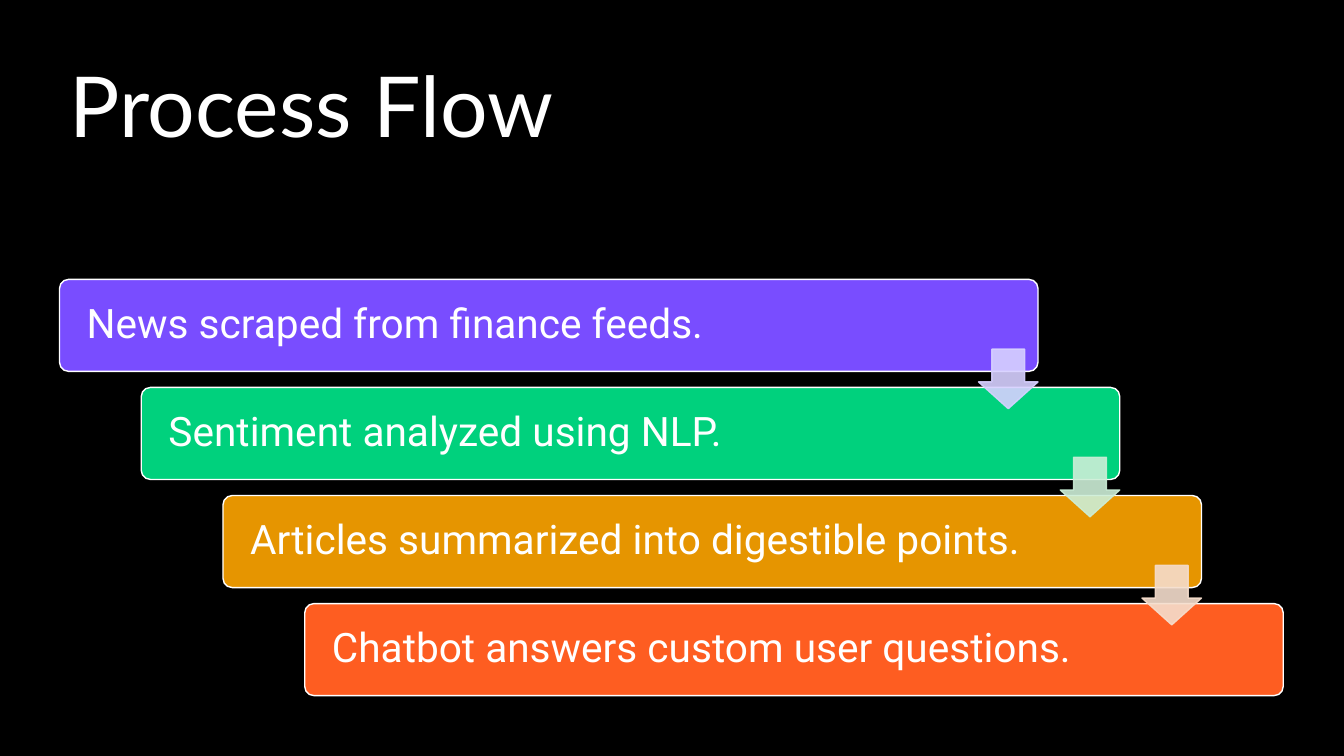
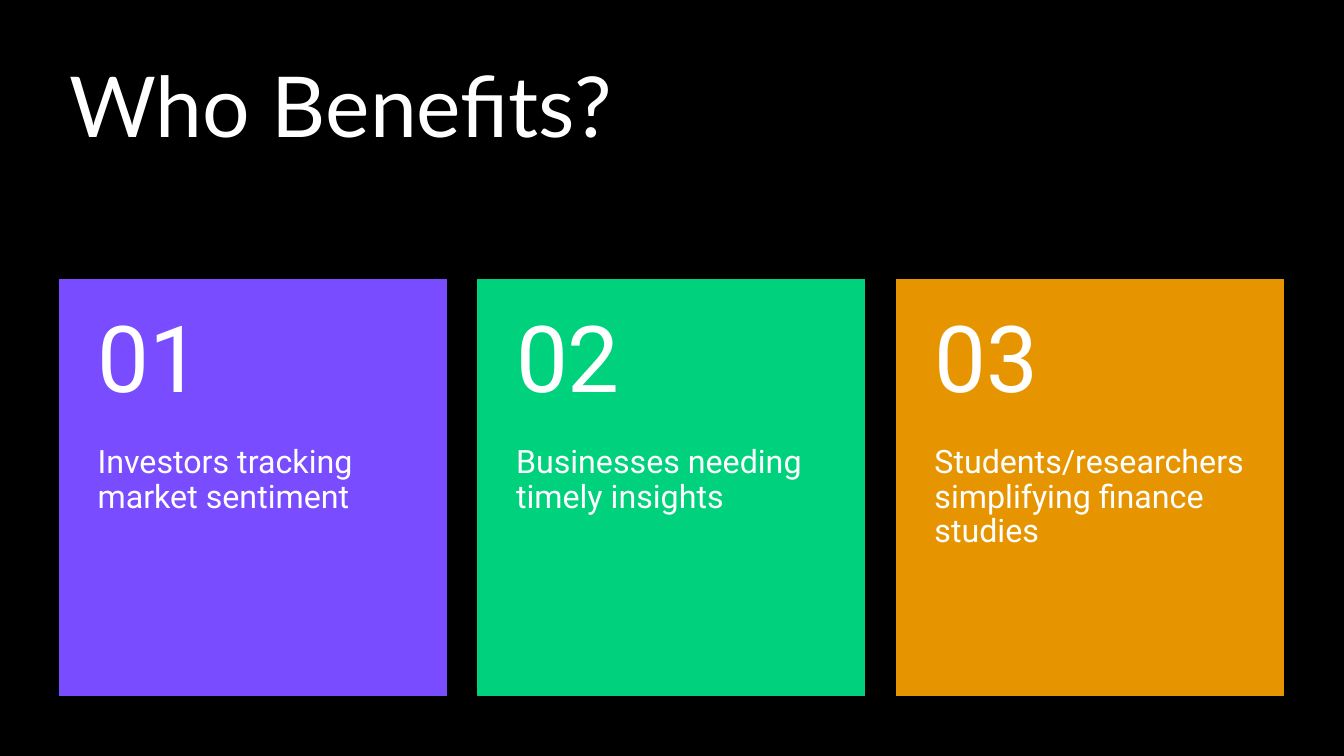
import dataclasses

import lxml.etree
import pptx
import pptx.dml.color
import pptx.enum.shapes
import pptx.enum.text
import pptx.oxml.ns
import pptx.util

Cm = pptx.util.Cm
Pt = pptx.util.Pt
RGB = pptx.dml.color.RGBColor.from_string
SHAPES = pptx.enum.shapes.MSO_SHAPE
ANCHOR = pptx.enum.text.MSO_ANCHOR


@dataclasses.dataclass(frozen=True)
class Theme:
    background: str = "000000"
    text: str = "FFFFFF"
    accents: tuple = ("794DFF", "00D17D", "E69500", "FE5D21")
    tints: tuple = ("D7D0FF", "CCEED7", "F5DDCC")
    title_font: str = "Lato"
    body_font: str = "Roboto"
    title_size: int = 60
    step_size: int = 29
    number_size: int = 66
    card_size: int = 23


theme = Theme()


def write(shape, text, font, size, anchor, insets):
    frame = shape.text_frame
    frame.word_wrap = True
    frame.auto_size = pptx.enum.text.MSO_AUTO_SIZE.NONE
    frame.vertical_anchor = anchor
    frame.margin_left, frame.margin_top, frame.margin_right, frame.margin_bottom = map(Cm, insets)
    paragraph = frame.paragraphs[0]
    paragraph.alignment = pptx.enum.text.PP_ALIGN.LEFT
    paragraph.line_spacing = 0.9
    run = paragraph.add_run()
    run.text = text
    run.font.name = font
    run.font.size = Pt(size)
    run.font.color.rgb = RGB(theme.text)


def add_block(slide, kind, box, fill, line):
    shape = slide.shapes.add_shape(kind, *map(Cm, box))
    shape.shadow.inherit = False
    shape.fill.solid()
    shape.fill.fore_color.rgb = RGB(fill)
    shape.line.color.rgb = RGB(line)
    shape.line.width = Pt(1)
    return shape


margin, content_width = 1.5, 30.84
content_top, content_height = 7.04, 10.49

presentation = pptx.Presentation()
presentation.slide_width = Cm(33.87)
presentation.slide_height = Cm(19.05)
background = presentation.slide_master.background.fill
background.solid()
background.fore_color.rgb = RGB(theme.background)

slides = []
for title in ("Process Flow", "Who Benefits?"):
    slide = presentation.slides.add_slide(presentation.slide_layouts[5])
    placeholder = slide.shapes.title
    placeholder.left, placeholder.top = Cm(margin), Cm(margin)
    placeholder.width, placeholder.height = Cm(content_width), Cm(5.03)
    write(placeholder, title, theme.title_font, theme.title_size, ANCHOR.TOP, (0.25, 0.13, 0.25, 0.13))
    slides.append(slide)
flow_slide, benefits_slide = slides

steps = (
    "News scraped from finance feeds.",
    "Sentiment analyzed using NLP.",
    "Articles summarized into digestible points.",
    "Chatbot answers custom user questions.",
)
bar_width, bar_height, arrow_size = 24.66, 2.32, 1.5
shift = (content_width - bar_width) / (len(steps) - 1)
drop = (content_height - bar_height) / (len(steps) - 1)

for index, (step, color) in enumerate(zip(steps, theme.accents)):
    box = (margin + index * shift, content_top + index * drop, bar_width, bar_height)
    bar = add_block(flow_slide, SHAPES.ROUNDED_RECTANGLE, box, color, theme.text)
    bar.adjustments[0] = 0.1
    write(bar, step, theme.body_font, theme.step_size, ANCHOR.MIDDLE, (0.62, 0.3, 0.3, 0.3))

for index, tint in enumerate(theme.tints):
    left = margin + index * shift + bar_width - arrow_size
    top = content_top + index * drop + 1.76
    arrow = add_block(flow_slide, SHAPES.DOWN_ARROW, (left, top, arrow_size, arrow_size), tint, tint)
    arrow.adjustments[0] = 0.55
    arrow.adjustments[1] = 0.45
    for color in arrow.element.spPr.iter(pptx.oxml.ns.qn("a:srgbClr")):
        lxml.etree.SubElement(color, pptx.oxml.ns.qn("a:alpha"), val="90000")

audiences = (
    "Investors tracking market sentiment",
    "Businesses needing timely insights",
    "Students/researchers simplifying finance studies",
)
card_width, number_height = 9.75, 4.19
pitch = (content_width - card_width) / (len(audiences) - 1)

for index, (audience, color) in enumerate(zip(audiences, theme.accents)):
    left = margin + index * pitch
    card = add_block(benefits_slide, SHAPES.RECTANGLE, (left, content_top, card_width, content_height), color, color)
    write(card, audience, theme.body_font, theme.card_size, ANCHOR.TOP, (0.96, number_height, 0.96, 0.91))
    number = benefits_slide.shapes.add_textbox(Cm(left), Cm(content_top), Cm(card_width), Cm(number_height))
    write(number, f"{index + 1:02}", theme.body_font, theme.number_size, ANCHOR.MIDDLE, (0.96, 0.46, 0.96, 0.46))

presentation.save("out.pptx")
